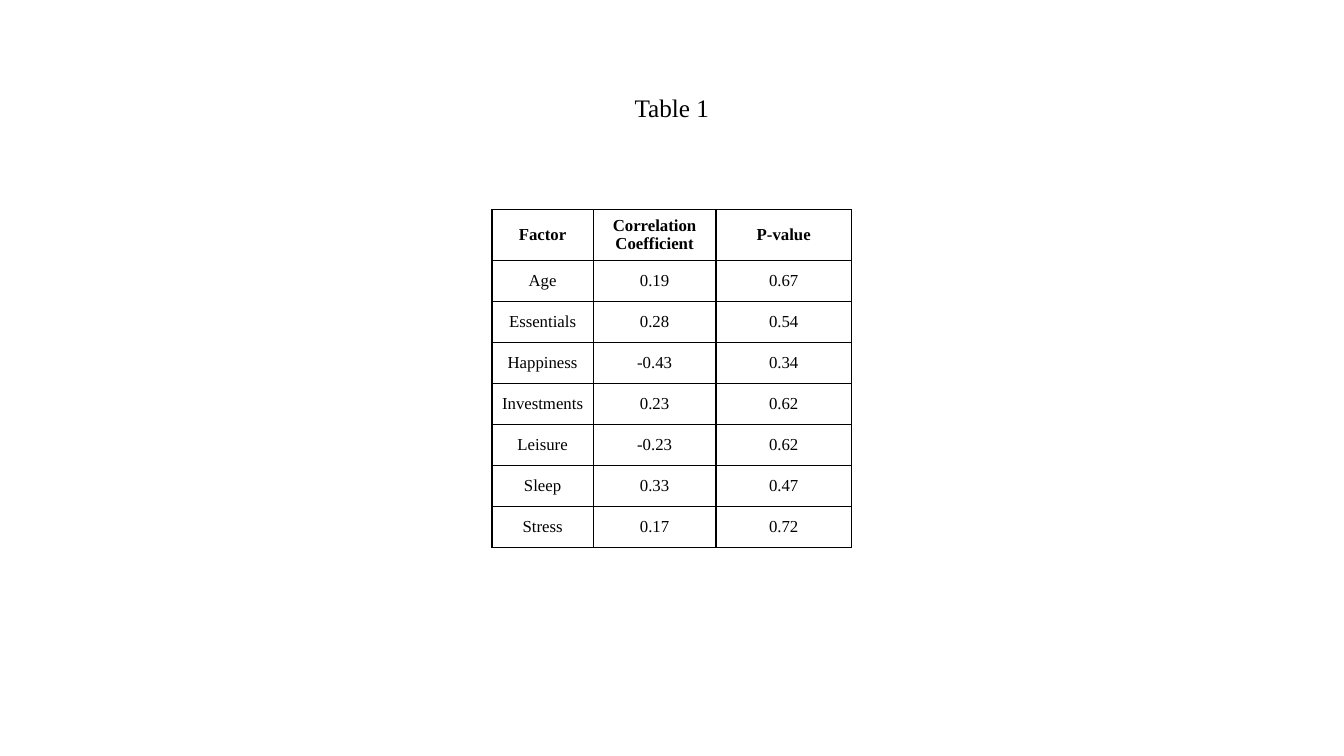
"""Build a slide with a table of correlation coefficients and p-values."""
import pptx
import pptx.dml.color
import pptx.enum.text
import pptx.oxml
import pptx.oxml.ns
import pptx.util

Pt = pptx.util.Pt
TITLE = "Table 1"
ROWS = [
    ("Factor", "Correlation Coefficient", "P-value"),
    ("Age", "0.19", "0.67"),
    ("Essentials", "0.28", "0.54"),
    ("Happiness", "-0.43", "0.34"),
    ("Investments", "0.23", "0.62"),
    ("Leisure", "-0.23", "0.62"),
    ("Sleep", "0.33", "0.47"),
    ("Stress", "0.17", "0.72"),
]
FONT, BLACK, WHITE = "Times New Roman", "000000", "FFFFFF"
COL_WIDTHS = (72.2, 87.8, 96.7)
HEADER_HEIGHT, ROW_HEIGHT = 34.4, 29.3
TABLE_LEFT, TABLE_TOP = 351.5, 149.8


def rgb(color):
    return pptx.dml.color.RGBColor.from_string(color)


def write(tf, text, size=12, bold=False, color=BLACK):
    p = tf.paragraphs[0]
    p.alignment = pptx.enum.text.PP_ALIGN.CENTER
    r = p.add_run()
    r.text = text
    r.font.name, r.font.size, r.font.bold = FONT, Pt(size), bold
    r.font.color.rgb = rgb(color)


def add_borders(cell, color=BLACK, width=1):
    tc_pr = cell._tc.get_or_add_tcPr()
    for i, side in enumerate(("lnL", "lnR", "lnT", "lnB")):
        tc_pr.insert(i, pptx.oxml.parse_xml(
            f'<a:{side} {pptx.oxml.ns.nsdecls("a")} w="{Pt(width)}"><a:solidFill>'
            f'<a:srgbClr val="{color}"/></a:solidFill></a:{side}>'))


def add_title(s):
    sp = s.shapes.title
    sp.left, sp.top, sp.width, sp.height = Pt(445.7), Pt(62.6), Pt(68.4), Pt(28.8)
    tf = sp.text_frame
    tf.word_wrap = False
    tf.auto_size = pptx.enum.text.MSO_AUTO_SIZE.SHAPE_TO_FIT_TEXT
    tf.vertical_anchor = pptx.enum.text.MSO_ANCHOR.TOP
    write(tf, TITLE, size=18)
    tf.paragraphs[0].line_spacing = 1.0


def add_factor_table(s):
    heights = [HEADER_HEIGHT] + [ROW_HEIGHT] * (len(ROWS) - 1)
    table = s.shapes.add_table(
        len(ROWS), len(COL_WIDTHS), Pt(TABLE_LEFT), Pt(TABLE_TOP),
        Pt(sum(COL_WIDTHS)), Pt(sum(heights))).table
    table.first_row = table.horz_banding = False
    for column, width in zip(table.columns, COL_WIDTHS):
        column.width = Pt(width)
    for i, (values, height) in enumerate(zip(ROWS, heights)):
        table.rows[i].height = Pt(height)
        for j, value in enumerate(values):
            cell = table.cell(i, j)
            cell.vertical_anchor = pptx.enum.text.MSO_ANCHOR.MIDDLE
            if i:
                cell.margin_left = cell.margin_right = cell.margin_top = Pt(0.7)
                cell.margin_bottom = Pt(0)
            cell.fill.solid()
            cell.fill.fore_color.rgb = rgb(WHITE)
            write(cell.text_frame, value, bold=i == 0)
            add_borders(cell)


def main():
    prs = pptx.Presentation()
    prs.slide_width, prs.slide_height = Pt(960), Pt(540)
    s = prs.slides.add_slide(prs.slide_layouts[5])
    add_title(s)
    add_factor_table(s)
    prs.save("out.pptx")


if __name__ == "__main__":
    main()
